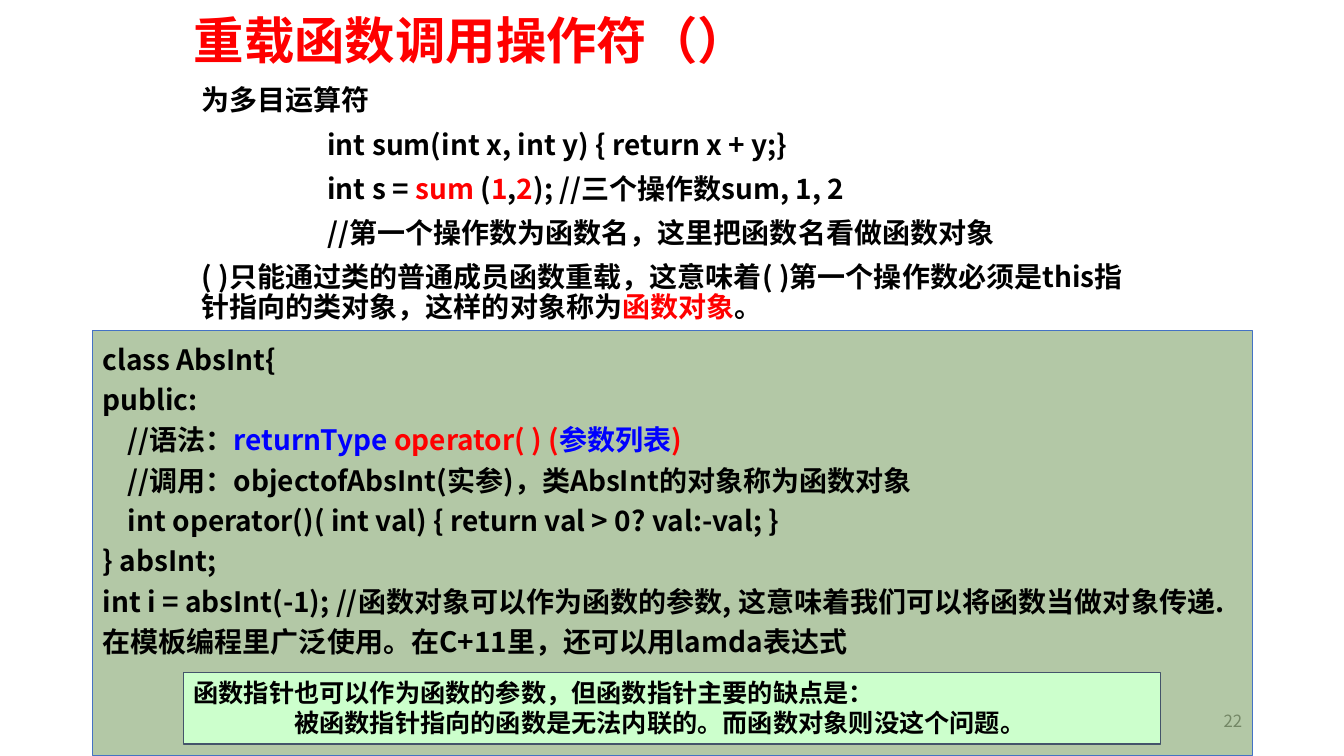
from lxml import etree
from pptx import Presentation
from pptx.dml.color import RGBColor
from pptx.enum.shapes import MSO_SHAPE
from pptx.enum.text import MSO_ANCHOR, MSO_AUTO_SIZE, PP_ALIGN
from pptx.oxml.ns import qn
from pptx.util import Inches, Pt

RECTANGLE = MSO_SHAPE.RECTANGLE
LEFT, RIGHT = PP_ALIGN.LEFT, PP_ALIGN.RIGHT
TOP, MIDDLE = MSO_ANCHOR.TOP, MSO_ANCHOR.MIDDLE

COLORS = {
    "black": "000000", "red": "FF0000", "blue": "0000FF", "gray": "8C8C8C",
    "code fill": "548235", "code line": "4472C4",
    "note fill": "CCFFCC", "note line": "44546A",
}
TITLE_FONT = "Noto Sans CJK SC"
BODY_FONT = "Noto Sans CJK JP"

# Content: each line is (indent in inches, [(text, color), ...])
TITLE = [(0, [("重载函数调用操作符（）", "red")])]
PAGE_NUMBER = [(0, [("22", "gray")])]
INTRO = [
    (0, [("为多目运算符", "black")]),
    (1.25, [("int sum(int x, int y) { return x + y;}", "black")]),
    (1.25, [("int s = ", "black"), ("sum", "red"), (" (", "black"), ("1", "red"),
            (",", "black"), ("2", "red"), ("); //三个操作数sum, 1, 2", "black")]),
    (1.25, [("//第一个操作数为函数名，这里把函数名看做函数对象", "black")]),
    (0, [("( )只能通过类的普通成员函数重载，这意味着( )第一个操作数必须是this"
          "指针指向的类对象，这样的对象称为", "black"),
         ("函数对象", "red"), ("。", "black")]),
]
CODE = [
    (0, [("class AbsInt{", "black")]),
    (0, [("public:", "black")]),
    (0.25, [("//语法：", "black"), ("returnType", "blue"), (" operator( ) (", "red"),
            ("参数列表", "blue"), (")", "red")]),
    (0.25, [("//调用：objectofAbsInt(实参)，类AbsInt的对象称为函数对象", "black")]),
    (0.25, [("int operator()( int val) { return val > 0? val:-val; }", "black")]),
    (0, [("} absInt;", "black")]),
    (0, [("int i = absInt(-1); //函数对象可以作为函数的参数, 这意味着我们可以将函数当做对象传递. "
          "在模板编程里广泛使用。在C+11里，还可以用lamda表达式", "black")]),
]
NOTE = [
    (0, [("函数指针也可以作为函数的参数，但函数指针主要的缺点是：", "black")]),
    (1, [("被函数指针指向的函数是无法内联的。而函数对象则没这个问题。", "black")]),
]


def color(name):
    return RGBColor.from_string(COLORS[name])


def write_lines(shape, lines, size, font_name=BODY_FONT, bold=True, anchor=TOP,
                align=LEFT, line_spacing=1.0, space_before=0):
    frame = shape.text_frame
    frame.word_wrap = True
    frame.auto_size = MSO_AUTO_SIZE.NONE
    frame.vertical_anchor = anchor
    for index, (indent, parts) in enumerate(lines):
        paragraph = frame.add_paragraph() if index else frame.paragraphs[0]
        paragraph.alignment = align
        paragraph.line_spacing = line_spacing
        paragraph.space_before = Pt(space_before)
        if indent:
            properties = paragraph._p.get_or_add_pPr()
            properties.set("marL", str(Inches(indent)))
            properties.set("indent", "0")
        for text, color_name in parts:
            run = paragraph.add_run()
            run.text = text
            run.font.size = Pt(size)
            run.font.bold = bold
            run.font.color.rgb = color(color_name)
            run.font.name = font_name
            # Chinese characters take their font from the East Asian slot
            east_asian = etree.SubElement(run._r.get_or_add_rPr(), qn("a:ea"))
            east_asian.set("typeface", font_name)


def add_panel(slide, box, name, line_width):
    panel = slide.shapes.add_shape(RECTANGLE, *map(Inches, box))
    panel.shadow.inherit = False
    panel.fill.solid()
    panel.fill.fore_color.rgb = color(name + " fill")
    panel.line.color.rgb = color(name + " line")
    panel.line.width = Pt(line_width)
    return panel


def main():
    presentation = Presentation()
    presentation.slide_width, presentation.slide_height = Inches(13.33), Inches(7.5)
    slide = presentation.slides.add_slide(presentation.slide_layouts[5])

    # Title
    title = slide.shapes.title
    title.left, title.top, title.width, title.height = map(Inches, (1.82, -0.03, 8.5, 0.92))
    write_lines(title, TITLE, 36, TITLE_FONT, anchor=MIDDLE, line_spacing=0.9)

    # Page number, behind the translucent code panel
    page_number = slide.shapes.add_textbox(*map(Inches, (9.42, 6.95, 3, 0.4)))
    write_lines(page_number, PAGE_NUMBER, 12, TITLE_FONT, bold=False, anchor=MIDDLE, align=RIGHT)

    # Introduction
    intro = slide.shapes.add_textbox(*map(Inches, (1.9, 0.81, 9.37, 2.2)))
    write_lines(intro, INTRO, 20, line_spacing=0.9, space_before=10)

    # Code panel with 44 % opacity
    code = add_panel(slide, (0.92, 3.28, 11.5, 4.22), "code", 0.75)
    fill_color = code._element.spPr.find(qn("a:solidFill")).find(qn("a:srgbClr"))
    etree.SubElement(fill_color, qn("a:alpha")).set("val", "44000")
    write_lines(code, CODE, 20, line_spacing=1.2)

    # Note on function pointers
    note = add_panel(slide, (1.82, 6.67, 9.69, 0.71), "note", 1)
    write_lines(note, NOTE, 18)

    presentation.save("out.pptx")


if __name__ == "__main__":
    main()
